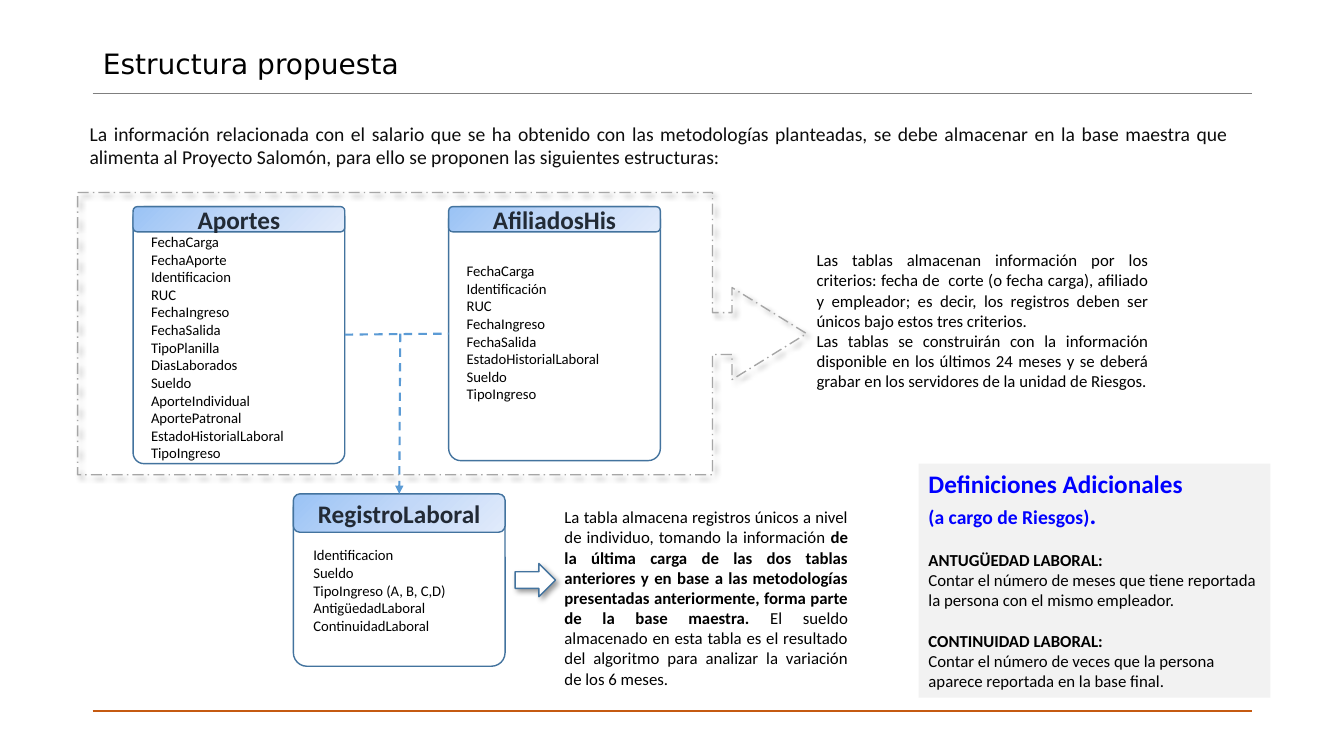
import pptx
import pptx.util
import pptx.dml.color
import pptx.oxml
import pptx.oxml.ns
import pptx.enum.dml
import pptx.enum.shapes
import pptx.enum.text
from lxml import etree

Inches, Pt = pptx.util.Inches, pptx.util.Pt
SHAPE = pptx.enum.shapes.MSO_SHAPE
DASH = pptx.enum.dml.MSO_LINE
ALIGN = pptx.enum.text.PP_ALIGN
ANCHOR = pptx.enum.text.MSO_ANCHOR
qn = pptx.oxml.ns.qn

COLORS = {
    "black": "000000", "intro": "0D0D0D", "header": "222A35", "heading": "0000FF",
    "outline": "43739E", "relation": "5B9BD5", "callout": "A6A6A6", "white": "FFFFFF",
    "panel": "F2F2F2", "title_rule": "7F7F7F", "foot_rule": "C55A11",
}
HEADER_GRADIENT = [(0, "9AC3F5"), (50, "C2D8F8"), (100, "E1EBFB")]

TITLE = "Estructura propuesta"
INTRO = ("La información relacionada con el salario que se ha obtenido con las metodologías "
         "planteadas, se debe almacenar en la base maestra que alimenta al Proyecto Salomón, "
         "para ello se proponen las siguientes estructuras:")
# left, top, height, header height, corner, fields' left and top offsets
ENTITIES = [
    ("Aportes", (1.32, 2.05, 2.55, 0.25, 0.052, 0.08, 0.21),
     ["FechaCarga", "FechaAporte", "Identificacion", "RUC", "FechaIngreso", "FechaSalida",
      "TipoPlanilla", "DiasLaborados", "Sueldo", "AporteIndividual", "AportePatronal",
      "EstadoHistorialLaboral", "TipoIngreso"]),
    ("AfiliadosHis", (4.45, 2.05, 2.52, 0.25, 0.058, 0.08, 0.5),
     ["FechaCarga", "Identificación", "RUC", "FechaIngreso", "FechaSalida",
      "EstadoHistorialLaboral", "Sueldo", "TipoIngreso"]),
    ("RegistroLaboral", (2.91, 4.9, 1.71, 0.38, 0.079, 0.1, 0.47),
     ["Identificacion", "Sueldo", "TipoIngreso (A, B, C,D)", "AntigüedadLaboral",
      "ContinuidadLaboral"]),
]
ENTITY_WIDTH, FIELDS_WIDTH = 2.1, 1.9
CRITERIA = [
    "Las tablas almacenan información por los criterios: fecha de  corte (o fecha carga), "
    "afiliado y empleador; es decir, los registros deben ser únicos bajo estos tres criterios.",
    "Las tablas se construirán con la información disponible en los últimos 24 meses y se "
    "deberá grabar en los servidores de la unidad de Riesgos.",
]
RECORD_NOTE = [
    ("La tabla almacena registros únicos a nivel de individuo, tomando la información ", False),
    ("de la última carga de las dos tablas anteriores y en base a las metodologías "
     "presentadas anteriormente, forma parte de la base maestra. ", True),
    ("El sueldo almacenado en esta tabla es el resultado del algoritmo para analizar la "
     "variación de los 6 meses.", False),
]
DEFINITIONS_TITLE = "Definiciones Adicionales"
DEFINITIONS_OWNER = [("(a cargo de Riesgos)", 14), (".", 18)]
DEFINITIONS = [
    ("ANTUGÜEDAD LABORAL:",
     "Contar el número de meses que tiene reportada la persona con el mismo empleador."),
    ("CONTINUIDAD LABORAL:",
     "Contar el número de veces que la persona aparece reportada en la base final."),
]


def rgb(name):
    return pptx.dml.color.RGBColor.from_string(COLORS[name])


def style(para, size, color="black", bold=False, align=ALIGN.LEFT, font="Calibri"):
    para.font.name, para.font.size, para.font.bold = font, Pt(size), bold
    para.font.color.rgb = rgb(color)
    para.alignment = align


def add_paragraph(frame, text, size, **look):
    """Fill the frame's first paragraph if it is empty, otherwise append one."""
    first = frame.paragraphs[0]
    para = frame.add_paragraph() if first.runs else first
    for part in [text] if isinstance(text, str) else text:
        para.add_run().text = part
    style(para, size, **look)
    return para


def add_text(page, *area):
    frame = page.shapes.add_textbox(*map(Inches, area)).text_frame
    frame.word_wrap = True
    return frame


def add_box(page, kind, area, fill=None, line=None, adjustments=()):
    box = page.shapes.add_shape(kind, *map(Inches, area))
    box.shadow.inherit = False
    for index, value in enumerate(adjustments):
        box.adjustments[index] = value
    if fill:
        box.fill.solid()
        box.fill.fore_color.rgb = rgb(fill)
    else:
        box.fill.background()
    if line:
        box.line.color.rgb, box.line.width = rgb(line), Pt(1)
    else:
        box.line.fill.background()
    return box


def add_shadow(box):
    effects = box.element.spPr.find(qn("a:effectLst"))
    shadow = etree.SubElement(effects, qn("a:outerShdw"), blurRad=str(Pt(4)),
                              dist=str(Pt(3)), dir="2700000", algn="tl", rotWithShape="0")
    color = etree.SubElement(shadow, qn("a:srgbClr"), val=COLORS["black"])
    etree.SubElement(color, qn("a:alpha"), val="40000")


def fill_gradient(box):
    box.fill.gradient()
    gradient = box.element.spPr.find(qn("a:gradFill"))
    for child in list(gradient):
        gradient.remove(child)
    stops = etree.SubElement(gradient, qn("a:gsLst"))
    for position, color in HEADER_GRADIENT:
        stop = etree.SubElement(stops, qn("a:gs"), pos=str(position * 1000))
        etree.SubElement(stop, qn("a:srgbClr"), val=color)
    etree.SubElement(gradient, qn("a:lin"), ang="2700000", scaled="0")


def add_line(page, start, end, color, width, dash=None, arrow=False):
    line = page.shapes.add_connector(pptx.enum.shapes.MSO_CONNECTOR.STRAIGHT,
                                     *map(Inches, start + end))
    line.line.color.rgb, line.line.width = rgb(color), Pt(width)
    if dash:
        line.line.dash_style = dash
    properties = line.element.spPr
    if arrow:
        etree.SubElement(properties.find(qn("a:ln")), qn("a:tailEnd"), type="triangle")
    etree.SubElement(properties, qn("a:effectLst"))


def add_entity(page, name, layout, fields):
    left, top, height, header_height, corner, fields_dx, fields_dy = layout
    add_box(page, SHAPE.ROUNDED_RECTANGLE, (left, top, ENTITY_WIDTH, height),
            line="outline", adjustments=[corner])
    header = add_box(page, SHAPE.ROUNDED_RECTANGLE, (left, top, ENTITY_WIDTH, header_height),
                     line="outline")
    fill_gradient(header)
    header.text_frame.vertical_anchor = ANCHOR.MIDDLE
    add_paragraph(header.text_frame, name, 18, color="header", bold=True, align=ALIGN.CENTER)
    frame = add_text(page, left + fields_dx, top + fields_dy, FIELDS_WIDTH,
                     0.1 + 0.175 * len(fields))
    for field in fields:
        add_paragraph(frame, field, 10.5)


def add_definitions(page):
    panel = add_box(page, SHAPE.RECTANGLE, (9.11, 4.6, 3.49, 2.32), fill="panel")
    frame = panel.text_frame
    frame.vertical_anchor = ANCHOR.TOP
    add_paragraph(frame, DEFINITIONS_TITLE, 18, color="heading", bold=True)
    owner = add_paragraph(frame, [text for text, size in DEFINITIONS_OWNER], 14,
                          color="heading", bold=True)
    for span, (text, size) in zip(owner.runs, DEFINITIONS_OWNER):
        span.font.size = Pt(size)
    for term, meaning in DEFINITIONS:
        add_paragraph(frame, term, 12, bold=True).space_before = Pt(14.6)
        add_paragraph(frame, meaning, 12)


def main():
    deck = pptx.Presentation()
    deck.slide_width, deck.slide_height = Inches(13.33), Inches(7.5)
    page = deck.slides.add_slide(deck.slide_layouts[5])

    title = page.shapes.title
    title.left, title.top, title.width, title.height = map(Inches, (0.92, 0.27, 11.5, 0.76))
    title.text_frame.auto_size = pptx.enum.text.MSO_AUTO_SIZE.NONE
    title.text_frame.vertical_anchor = ANCHOR.MIDDLE
    add_paragraph(title.text_frame, TITLE, 20, font="DejaVu Sans").line_spacing = 0.9
    for y, color, width in [(0.93, "title_rule", 0.75), (7.05, "foot_rule", 1.5)]:
        add_line(page, (0.92, y), (12.42, y), color, width)

    intro = add_text(page, 0.79, 1.16, 11.5, 0.57)
    add_paragraph(intro, INTRO, 14, color="intro", align=ALIGN.JUSTIFY)

    for entity in ENTITIES:
        add_entity(page, *entity)
    add_line(page, (3.42, 3.32), (4.45, 3.31), "relation", 1.5, DASH.DASH)
    add_line(page, (3.97, 3.31), (3.96, 4.9), "relation", 1.5, DASH.DASH, arrow=True)

    callout = add_box(page, SHAPE.RIGHT_ARROW_CALLOUT, (0.77, 1.91, 7.23, 2.8),
                      line="callout", adjustments=[0.148, 0.163, 0.264, 0.871])
    callout.line.dash_style = DASH.LONG_DASH_DOT
    add_shadow(callout)

    criteria = add_text(page, 8, 2.43, 3.49, 1.51)
    for sentence in CRITERIA:
        add_paragraph(criteria, sentence, 12, align=ALIGN.JUSTIFY)

    record = add_text(page, 5.5, 4.98, 3.01, 1.92)
    note = add_paragraph(record, [text for text, bold in RECORD_NOTE], 12, align=ALIGN.JUSTIFY)
    for span, (text, bold) in zip(note.runs, RECORD_NOTE):
        span.font.bold = bold
    add_shadow(add_box(page, SHAPE.RIGHT_ARROW, (5.11, 5.59, 0.4, 0.33),
                       fill="white", line="outline"))
    add_definitions(page)
    deck.save("out.pptx")


if __name__ == "__main__":
    main()
